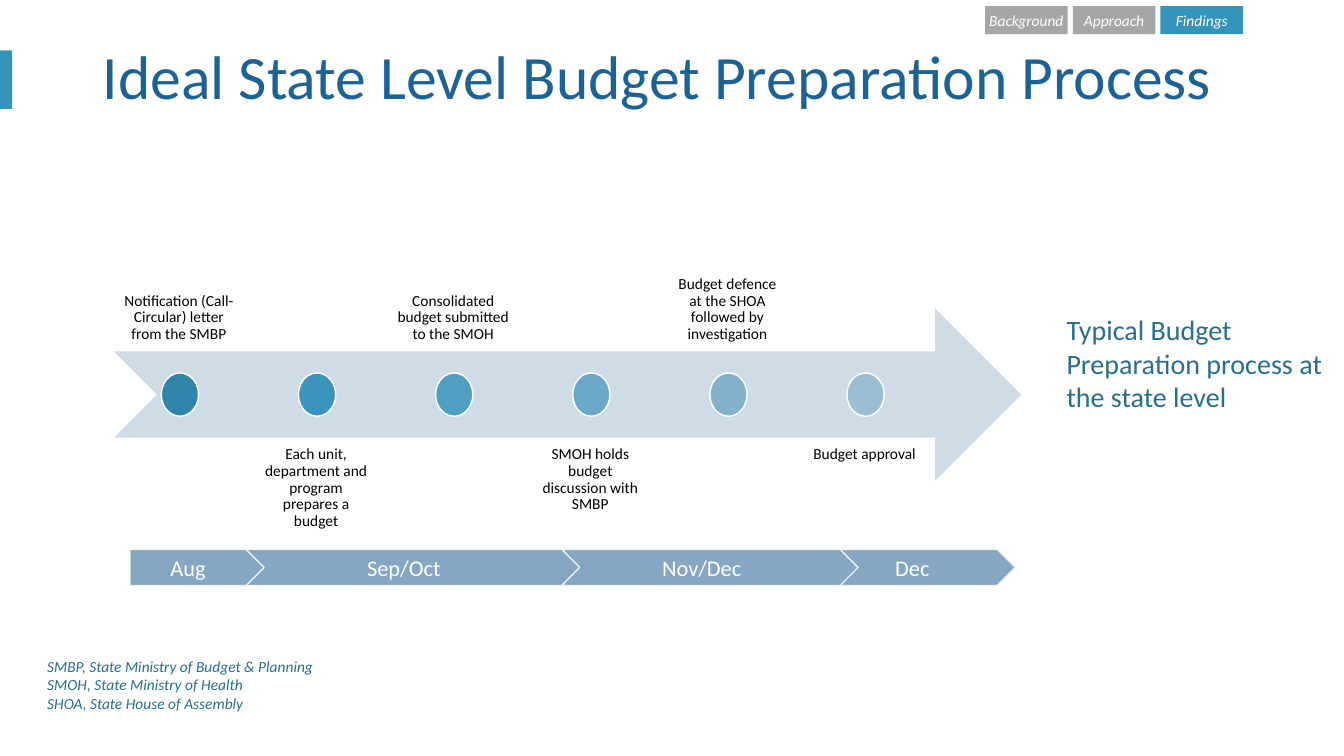
import pptx
import pptx.util
from pptx.dml.color import RGBColor
from pptx.enum.shapes import MSO_SHAPE
from pptx.enum.text import MSO_ANCHOR, MSO_AUTO_SIZE, PP_ALIGN

EMU_PER_PX = 9144  # 100 px to the inch

WHITE = RGBColor(0xFF, 0xFF, 0xFF)
BLACK = RGBColor(0x00, 0x00, 0x00)
ACCENT = RGBColor(0x34, 0x94, 0xBA)
GREY = RGBColor(0xA6, 0xA6, 0xA6)
TITLE_BLUE = RGBColor(0x1D, 0x62, 0x94)
TEXT_BLUE = RGBColor(0x27, 0x6F, 0x8B)
MONTH_BLUE = RGBColor(0x86, 0xA6, 0xC1)
MONTH_EDGE = RGBColor(0xF2, 0xF2, 0xF2)
ARROW_BLUE = RGBColor(0xCE, 0xDC, 0xE7)
DOT_DEEP = RGBColor(0x2F, 0x86, 0xA9)
DOT_STRONG = RGBColor(0x3A, 0x94, 0xBC)
DOT_MEDIUM = RGBColor(0x51, 0x9E, 0xC3)
DOT_SOFT = RGBColor(0x6B, 0xA7, 0xC7)
DOT_LIGHT = RGBColor(0x84, 0xB2, 0xCC)
DOT_PALE = RGBColor(0x9C, 0xBD, 0xD2)


def px(length):
    return pptx.util.Emu(length * EMU_PER_PX)


class SlideBuilder:
    font_name = "Calibri"

    def __init__(self, slide):
        self.slide = slide

    def set_text(self, shape, text, size, color, italic=False, align=PP_ALIGN.LEFT,
                 anchor=MSO_ANCHOR.TOP, insets=(10, 5, 10, 5), line_spacing=1.0):
        frame = shape.text_frame
        frame.text = text
        left, top, right, bottom = map(px, insets)
        frame_format = {
            "word_wrap": True, "auto_size": MSO_AUTO_SIZE.NONE,
            "vertical_anchor": anchor, "margin_left": left, "margin_top": top,
            "margin_right": right, "margin_bottom": bottom,
        }
        for name, value in frame_format.items():
            setattr(frame, name, value)
        font_format = {"name": self.font_name, "size": pptx.util.Pt(size), "italic": italic}
        for paragraph in frame.paragraphs:
            paragraph.alignment = align
            paragraph.line_spacing = line_spacing
            for name, value in font_format.items():
                setattr(paragraph.font, name, value)
            paragraph.font.color.rgb = color

    def title(self, box, text, **text_format):
        shape = self.slide.shapes.title
        for name, value in zip(("left", "top", "width", "height"), box):
            setattr(shape, name, px(value))
        self.set_text(shape, text, **text_format)

    def text_box(self, box, text, **text_format):
        shape = self.slide.shapes.add_textbox(*map(px, box))
        self.set_text(shape, text, **text_format)

    def shape(self, kind, box, fill, line=None, text=None, adjustments=(), **text_format):
        shape = self.slide.shapes.add_shape(kind, *map(px, box))
        shape.shadow.inherit = False
        shape.fill.solid()
        shape.fill.fore_color.rgb = fill
        if line is None:
            shape.line.fill.background()
        else:
            shape.line.color.rgb = line
            shape.line.width = pptx.util.Pt(1)
        for index, value in enumerate(adjustments):
            shape.adjustments[index] = value
        if text:
            self.set_text(shape, text, **text_format)


def main():
    presentation = pptx.Presentation()
    presentation.slide_width = px(1333)
    presentation.slide_height = px(750)
    title_only = presentation.slide_layouts[5]
    builder = SlideBuilder(presentation.slides.add_slide(title_only))

    # Title with its side mark
    builder.shape(MSO_SHAPE.RECTANGLE, (0, 50, 12, 58), ACCENT)
    builder.title((92, 40, 1150, 78), "Ideal State Level Budget Preparation Process",
                  size=44, color=TITLE_BLUE, anchor=MSO_ANCHOR.MIDDLE, line_spacing=0.9)

    # Section tabs
    tabs = [("Background", GREY), ("Approach", GREY), ("Findings", ACCENT)]
    for index, (label, fill) in enumerate(tabs):
        builder.shape(MSO_SHAPE.RECTANGLE, (977 + 87 * index, 6, 82, 28), fill,
                      text=label, size=11, color=WHITE, italic=True,
                      align=PP_ALIGN.CENTER, anchor=MSO_ANCHOR.MIDDLE, insets=(0, 0, 0, 0))

    # Month arrows, last month at the back; Sep/Oct clears the Aug arrow
    months = [("Dec", 821, 186, 10), ("Nov/Dec", 559, 292, 10),
              ("Sep/Oct", 184, 391, 70), ("Aug", 129, 133, 10)]
    for label, left, width, left_inset in months:
        builder.shape(MSO_SHAPE.RIGHT_ARROW, (left, 545, width, 36), MONTH_BLUE,
                      line=MONTH_EDGE, adjustments=(1, 0.5), text=label, size=16,
                      color=WHITE, align=PP_ALIGN.CENTER, anchor=MSO_ANCHOR.MIDDLE,
                      insets=(left_inset, 5, 10, 5))

    # Process arrow with steps alternating above and below
    builder.shape(MSO_SHAPE.NOTCHED_RIGHT_ARROW, (113, 306, 900, 171), ARROW_BLUE)
    steps = [
        ("Notification (Call-Circular) letter from the SMBP", DOT_DEEP),
        ("Each unit, department and program prepares a budget", DOT_STRONG),
        ("Consolidated budget submitted to the SMOH", DOT_MEDIUM),
        ("SMOH holds budget discussion with SMBP", DOT_SOFT),
        ("Budget defence at the SHOA followed by investigation", DOT_LIGHT),
        ("Budget approval", DOT_PALE),
    ]
    for index, (label, fill) in enumerate(steps):
        offset = 136 * index
        top, anchor = [(178, MSO_ANCHOR.BOTTOM), (434, MSO_ANCHOR.TOP)][index % 2]
        builder.text_box((113 + offset, top, 129, 171), label, size=11, color=BLACK,
                         align=PP_ALIGN.CENTER, anchor=anchor, insets=(9, 9, 9, 9),
                         line_spacing=0.9)
        builder.shape(MSO_SHAPE.OVAL, (160 + offset, 370, 37, 43), fill, line=WHITE)

    # Caption and abbreviations
    builder.text_box((1048, 305, 284, 111),
                     "Typical Budget Preparation process at the state level",
                     size=20, color=TEXT_BLUE)
    abbreviations = [
        "SMBP, State Ministry of Budget & Planning",
        "SMOH, State Ministry of Health",
        "SHOA, State House of Assembly",
    ]
    builder.text_box((37, 647, 284, 66), "\n".join(abbreviations),
                     size=11, color=TEXT_BLUE, italic=True)

    presentation.save("out.pptx")


if __name__ == "__main__":
    main()
